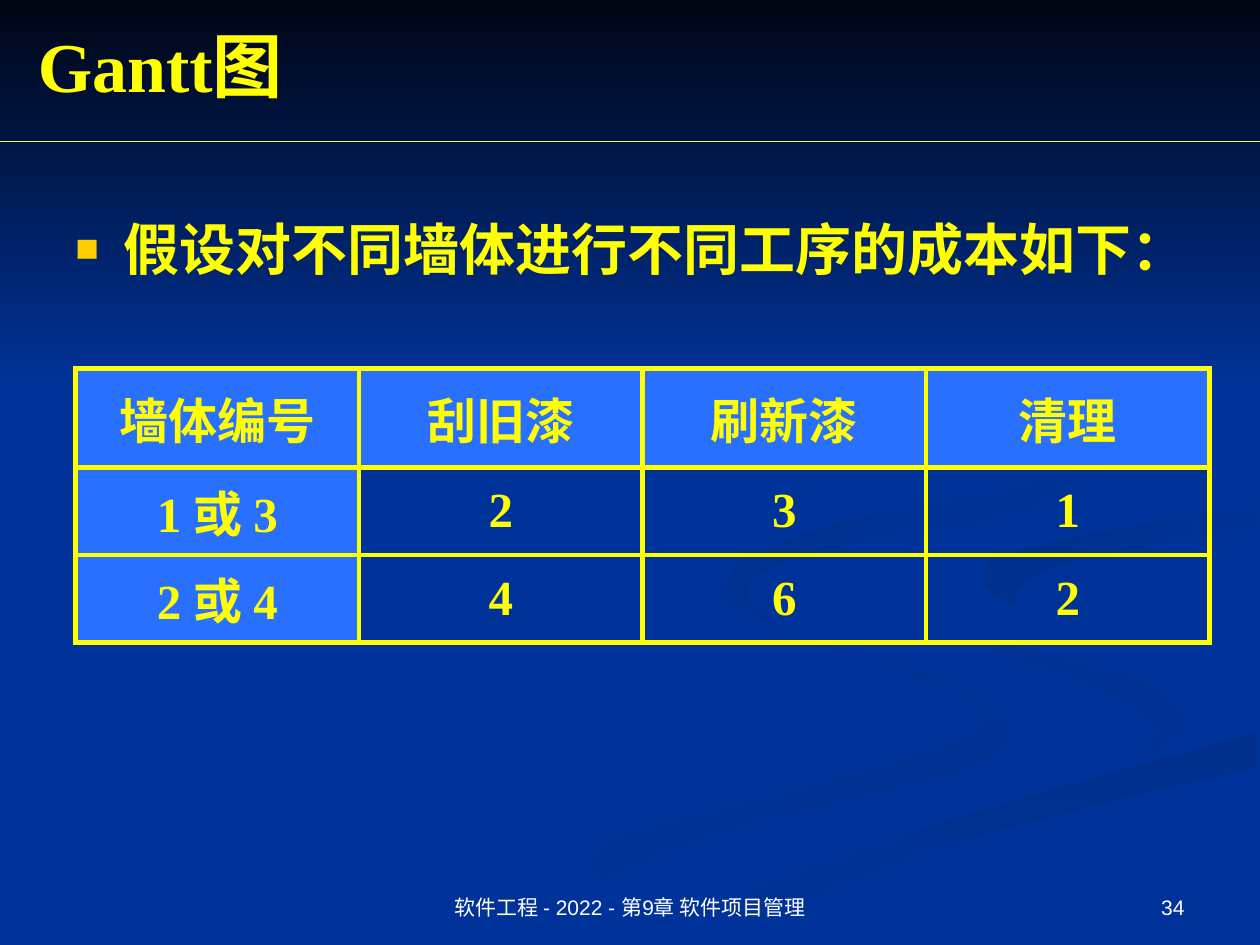
from collections import namedtuple
from lxml.etree import SubElement as Sub
from pptx import Presentation
from pptx.dml.color import RGBColor as RGB
from pptx.enum.shapes import MSO_CONNECTOR as Link, MSO_SHAPE as Kind
from pptx.enum.text import MSO_ANCHOR as Anchor, PP_ALIGN as Align
from pptx.oxml.ns import qn
from pptx.util import Emu, Inches, Pt

Box = namedtuple("Box", "x y w h")


class Theme:
    """Colours, fonts and sizes of the slide."""
    base, night, tile = "003399", "000514", "2970FF"
    shade, deep = "003193", "002F8C"
    gold, mark, white = "FFFF00", "FFCC00", "FFFFFF"
    serif, sans = "Times New Roman", "Arial"
    head, lead, cell, foot = 40, 32, 28, 12
    thin, thick = 0.75, 3


PAGE = Box(0, 0, Inches(10), Inches(7.5))
UNIT = Inches(0.01)
HEADS = ["墙体编号", "刮旧漆", "刷新漆", "清理"]
ROWS = [HEADS, ["1 或 3", "2", "3", "1"], ["2 或 4", "4", "6", "2"]]

BEND = [(943, 570), (905, 540), (792, 509), (733, 483), (724, 464)]
HOOK = [(998, 402), (898, 418), (810, 437), (781, 460), (826, 496)]
BANK = [(998, 581), (797, 638), (630, 693), (503, 749)]
SWIRLS = [
    ((Theme.base, Theme.shade), 0, [
        [(575, 459), (642, 507), (757, 543), (800, 581), (756, 614), (564, 665), (361, 749)],
        [(300, 749), (458, 674), (684, 613), (785, 566), (654, 513), (572, 476), (575, 459)]]),
    ((Theme.base, Theme.shade), 45, [
        BEND, [(724, 464), (755, 505), (854, 539), (917, 576), (894, 605)],
        [(894, 605), (932, 589), (943, 570)]]),
    ((Theme.deep, Theme.base), 90, [
        BANK, [(571, 749), (695, 692), (821, 651), (998, 609)]]),
    ((Theme.base,), 0, [
        [(477, 749), (619, 684), (780, 634), (926, 593), (943, 570)], BEND,
        [(724, 464), (742, 439), (808, 417), (942, 399), (998, 387)], HOOK,
        [(826, 496), (904, 519), (998, 538)], BANK]),
    ((Theme.deep, Theme.base), 45, [
        HOOK, [(826, 496), (805, 474), (843, 448), (936, 429), (998, 420)]]),
    ((Theme.deep, Theme.base), 45, [
        [(683, 430), (825, 402), (894, 344), (843, 275), (762, 233)],
        [(762, 233), (846, 279), (889, 335), (842, 378), (649, 420), (577, 462), (622, 500)],
        [(622, 500), (593, 470), (624, 444), (683, 430)]]),
]


def part(box, x, y, w, h):
    """Return the part of a box given by shares of its size."""
    return Box(*(Emu(round(v)) for v in (
        box.x + x * box.w, box.y + y * box.h, w * box.w, h * box.h)))


def curve(knots, steps=6):
    """Return points of a smooth line through the knots."""
    ends = [knots[0], *knots, knots[-1]]
    dots = [knots[0]]
    for a, b, c, d in zip(ends, ends[1:], ends[2:], ends[3:]):
        for t in (i / steps for i in range(1, steps + 1)):
            dots.append(tuple(
                (2 * q + (r - p) * t + (2 * p - 5 * q + 4 * r - s) * t ** 2
                 + (3 * q - p - 3 * r + s) * t ** 3) / 2
                for p, q, r, s in zip(a, b, c, d)))
    return dots


def paint(shape, tones, angle=0):
    """Fill a shape with one colour or a gradient of two."""
    fill = shape.fill
    if len(tones) == 1:
        fill.solid()
        fill.fore_color.rgb = RGB.from_string(tones[0])
    else:
        fill.gradient()
        fill.gradient_angle = -angle % 360
        for stop, tone in zip(fill.gradient_stops, tones):
            stop.color.rgb = RGB.from_string(tone)
    shape.line.fill.background()
    shape.shadow.inherit = False


def write(frame, text, size, tone, face, align=Align.LEFT, bold=False):
    """Set and format one paragraph of text."""
    frame.text = text
    frame.word_wrap = True
    para = frame.paragraphs[0]
    para.alignment = align
    for run in para.runs:
        font = run.font
        font.size, font.bold, font.name = Pt(size), bold, face
        font.color.rgb = RGB.from_string(tone)
    return para


def scene(slide, box):
    """Draw the swirls and the night sky above them."""
    slide.background.fill.solid()
    slide.background.fill.fore_color.rgb = RGB.from_string(Theme.base)
    for tones, angle, sides in SWIRLS:
        dots = [dot for side in sides for dot in curve(side)]
        pen = slide.shapes.build_freeform(*dots[0], scale=UNIT)
        pen.add_line_segments(dots[1:], close=True)
        paint(pen.convert_to_shape(box.x, box.y), tones, angle)
    sky = slide.shapes.add_shape(Kind.RECTANGLE, *part(box, 0, 0, 1, 0.41))
    paint(sky, (Theme.night, Theme.base), 90)


def header(slide, box):
    """Place the title and the rule below it."""
    title = slide.shapes.title
    title.left, title.top, title.width, title.height = part(box, 0.02, 0.12, 0.9, 0.67)
    write(title.text_frame, "Gantt图", Theme.head, Theme.gold, Theme.serif, bold=True)
    title.text_frame.vertical_anchor = Anchor.MIDDLE
    tree = title.element.getparent()
    tree.append(title.element)
    low = box.y + box.h
    rule = slide.shapes.add_connector(Link.STRAIGHT, box.x, low, box.x + box.w, low)
    rule.line.color.rgb = RGB.from_string(Theme.gold)
    rule.line.width = Pt(Theme.thin)
    Sub(rule._element.spPr, qn("a:effectLst"))


def lead(slide, box):
    """Place the bulleted statement."""
    frame = slide.shapes.add_textbox(*box).text_frame
    para = write(frame, "假设对不同墙体进行不同工序的成本如下：",
                 Theme.lead, Theme.gold, Theme.serif, bold=True)
    props = para._p.get_or_add_pPr()
    props.set("marL", str(Inches(0.38)))
    props.set("indent", str(-Inches(0.38)))
    Sub(Sub(props, qn("a:buClr")), qn("a:srgbClr"), val=Theme.mark)
    Sub(props, qn("a:buSzPct"), val="70000")
    Sub(props, qn("a:buFont"), typeface=Theme.sans)
    Sub(props, qn("a:buChar"), char="■")


def edge(cell):
    """Rule all four sides of a cell."""
    props = cell._tc.get_or_add_tcPr()
    for side in "LRTB":
        line = Sub(props, qn("a:ln" + side), w=str(Pt(Theme.thick)))
        Sub(Sub(line, qn("a:solidFill")), qn("a:srgbClr"), val=Theme.gold)


def costs(slide, box):
    """Build the table of costs by wall and task."""
    table = slide.shapes.add_table(len(ROWS), len(HEADS), *box).table
    for row, share in zip(table.rows, (0.36, 0.32, 0.32)):
        row.height = round(box.h * share)
    for r, words in enumerate(ROWS):
        for c, word in enumerate(words):
            cell = table.cell(r, c)
            write(cell.text_frame, word, Theme.cell, Theme.gold, Theme.serif,
                  Align.CENTER, True)
            cell.vertical_anchor = Anchor.MIDDLE
            edge(cell)
            if r and c:
                cell.fill.background()
            else:
                cell.fill.solid()
                cell.fill.fore_color.rgb = RGB.from_string(Theme.tile)


def footer(slide, box):
    """Place the course line and the page number."""
    for x, w, text, align in (
            (0.34, 0.32, "软件工程 - 2022 - 第9章 软件项目管理", Align.CENTER),
            (0.72, 0.23, "34", Align.RIGHT)):
        frame = slide.shapes.add_textbox(*part(box, x, 0, w, 1)).text_frame
        write(frame, text, Theme.foot, Theme.white, Theme.sans, align)
        frame.vertical_anchor = Anchor.BOTTOM


def main():
    """Build and save the slide."""
    deck = Presentation()
    deck.slide_width, deck.slide_height = PAGE.w, PAGE.h
    slide = deck.slides.add_slide(deck.slide_layouts[5])
    scene(slide, PAGE)
    header(slide, part(PAGE, 0, 0, 1, 0.15))
    costs(slide, part(PAGE, 0.06, 0.39, 0.9, 0.29))
    footer(slide, part(PAGE, 0, 0.91, 1, 0.07))
    lead(slide, part(PAGE, 0.05, 0.22, 0.9, 0.66))
    deck.save("out.pptx")


if __name__ == "__main__":
    main()
